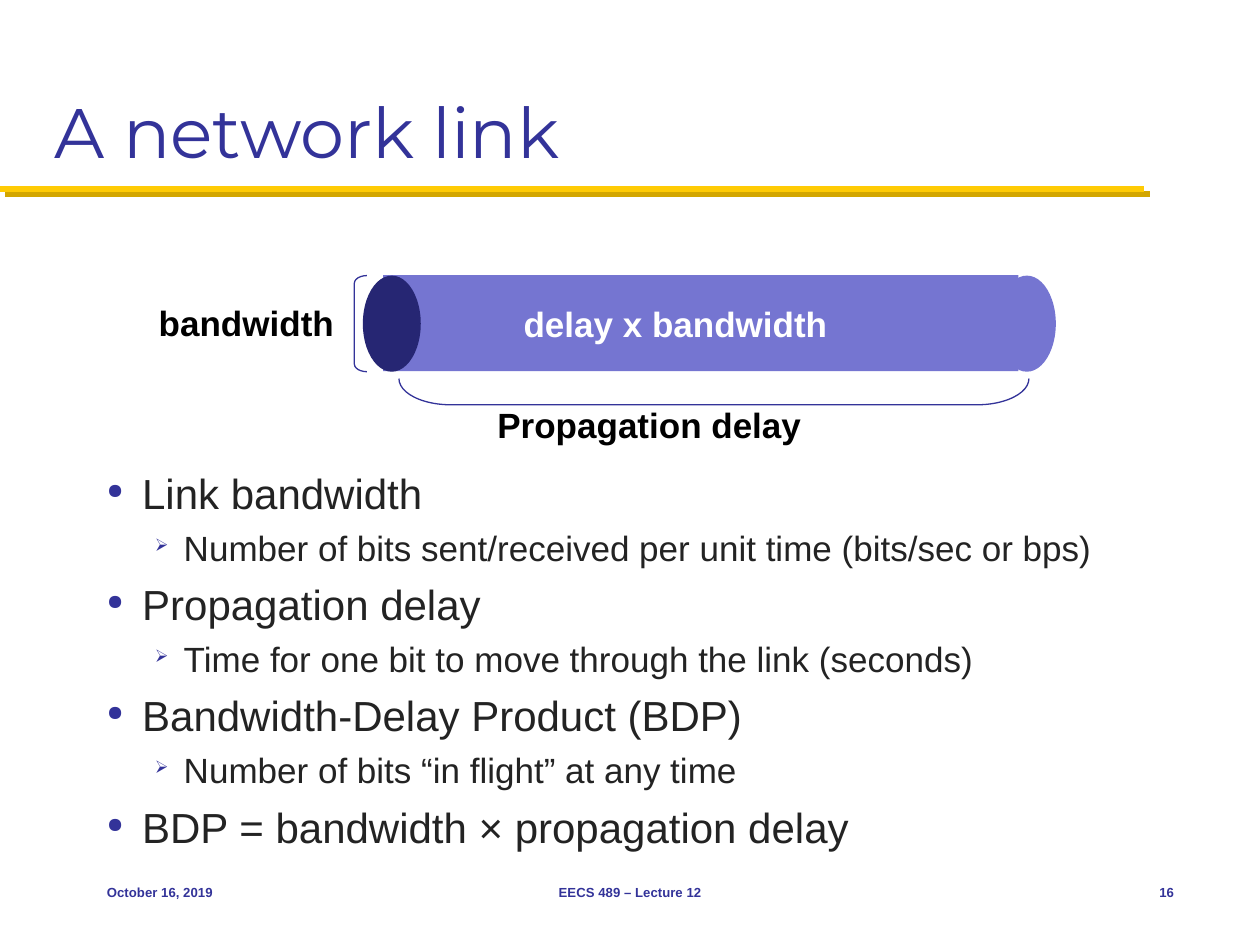
"""Build a slide that explains bandwidth, delay and their product on a network link."""
from lxml.etree import SubElement
from pptx import Presentation
from pptx.dml.color import RGBColor
from pptx.enum.shapes import MSO_CONNECTOR, MSO_SHAPE as Shape
from pptx.enum.text import MSO_ANCHOR as Anchor, MSO_AUTO_SIZE as AutoSize, PP_ALIGN as Align
from pptx.oxml.ns import qn
from pptx.util import Inches, Pt

COLORS = {"navy": "333399", "gold": "FFCB05", "dark_gold": "D3A600", "pipe": "7575D1",
          "pipe_end": "262673", "body": "232323", "black": "000000", "white": "FFFFFF"}

deck = Presentation()
deck.slide_width, deck.slide_height = Inches(10), Inches(7.5)
CELL = deck.slide_width / 120
page = deck.slides.add_slide(deck.slide_layouts[5])


def cells(*counts):
    return [round(count * CELL) for count in counts]


def style(para, size, color, bold=False, align=Align.LEFT, font="Arial"):
    para.alignment = align
    for span in para.runs:
        span.font.name, span.font.size, span.font.bold = font, Pt(size), bold
        span.font.color.rgb = RGBColor.from_string(COLORS[color])


rule = page.shapes.add_connector(MSO_CONNECTOR.STRAIGHT, *cells(0, 18, 109, 18))
rule.line.color.rgb = RGBColor.from_string(COLORS["gold"])
rule.line.width = Pt(3.5)
effects = SubElement(rule._element.spPr, qn("a:effectLst"))
shadow = SubElement(effects, qn("a:outerShdw"), blurRad="0", dist=str(Pt(4.2)),
                    dir="2700000", algn="ctr", rotWithShape="0")
SubElement(shadow, qn("a:srgbClr"), val=COLORS["dark_gold"])

title = page.shapes.title
title.left, title.top, title.width, title.height = cells(4, 2, 112, 15)
title.text_frame.text = "A network link"
title.text_frame.vertical_anchor = Anchor.BOTTOM
title.text_frame.auto_size = AutoSize.NONE
style(title.text_frame.paragraphs[0], 40, "navy", font="Montserrat")

LEVELS = [
    {"size": 24, "left": 0.28, "hang": 0.28, "before": 5.9, "mark": "●"},
    {"size": 20, "left": 0.61, "hang": 0.23, "before": 4.9, "mark": "➢"},
]
POINTS = [
    (0, "Link bandwidth"),
    (1, "Number of bits sent/received per unit time (bits/sec or bps)"),
    (0, "Propagation delay"),
    (1, "Time for one bit to move through the link (seconds)"),
    (0, "Bandwidth-Delay Product (BDP)"),
    (1, "Number of bits “in flight” at any time"),
    (0, "BDP = bandwidth × propagation delay"),
]
body = page.shapes.add_textbox(*cells(9, 43.9, 104, 35.1))
body.text_frame.word_wrap = True
body.text_frame.text = "\n".join(text for _, text in POINTS)
for index, (para, (depth, _)) in enumerate(zip(body.text_frame.paragraphs, POINTS)):
    level = LEVELS[depth]
    para.level = depth
    para.space_before = Pt(level["before"] if index else 0)
    style(para, level["size"], "body")
    props = para._p.get_or_add_pPr()
    props.set("marL", str(Inches(level["left"])))
    props.set("indent", str(-Inches(level["hang"])))
    SubElement(SubElement(props, qn("a:buClr")), qn("a:srgbClr"), val=COLORS["navy"])
    SubElement(props, qn("a:buSzPct"), val="50000")
    SubElement(props, qn("a:buChar"), char=level["mark"])

for kind, place, color in [
    (Shape.OVAL, (95.04, 26.25, 5.52, 9.15), "pipe"),
    (Shape.RECTANGLE, (36.5, 26.2, 60.5, 9.15), "pipe"),
    (Shape.OVAL, (34.56, 26.25, 5.52, 9.15), "pipe_end"),
]:
    part = page.shapes.add_shape(kind, *cells(*place))
    part.shadow.inherit = False
    part.fill.solid()
    part.fill.fore_color.rgb = RGBColor.from_string(COLORS[color])
    part.line.fill.background()

for place, turn, curve in [
    ((33.75, 26.25, 1.2, 9.15), 0, 0.61),
    ((66.75, 7.3, 2.5, 60), 270, 1.98),
]:
    bracket = page.shapes.add_shape(Shape.LEFT_BRACKET, *cells(*place))
    bracket.shadow.inherit = False
    bracket.rotation = turn
    bracket.adjustments[0] = curve
    bracket.fill.background()
    bracket.line.color.rgb = RGBColor.from_string(COLORS["navy"])
    bracket.line.width = Pt(0.75)

for text, place, color in [
    ("bandwidth", (13.8, 28.1, 19.2, 5.25), "black"),
    ("Propagation delay", (46, 37.8, 31.5, 5.25), "black"),
    ("delay x bandwidth", (48.5, 28.2, 31.5, 5.25), "white"),
]:
    label = page.shapes.add_textbox(*cells(*place))
    label.text_frame.text = text
    label.text_frame.word_wrap = False
    label.text_frame.auto_size = AutoSize.SHAPE_TO_FIT_TEXT
    style(label.text_frame.paragraphs[0], 20, color, True, Align.RIGHT)

for text, left, width, align in [
    ("October 16, 2019", 9, 25, Align.LEFT),
    ("EECS 489 – Lecture 12", 41, 38, Align.CENTER),
    ("16", 105, 8, Align.RIGHT),
]:
    footer = page.shapes.add_textbox(*cells(left, 82, width, 6))
    footer.text_frame.text = text
    footer.text_frame.word_wrap = True
    footer.text_frame.vertical_anchor = Anchor.MIDDLE
    style(footer.text_frame.paragraphs[0], 7.5, "navy", True, align)

deck.save("out.pptx")
